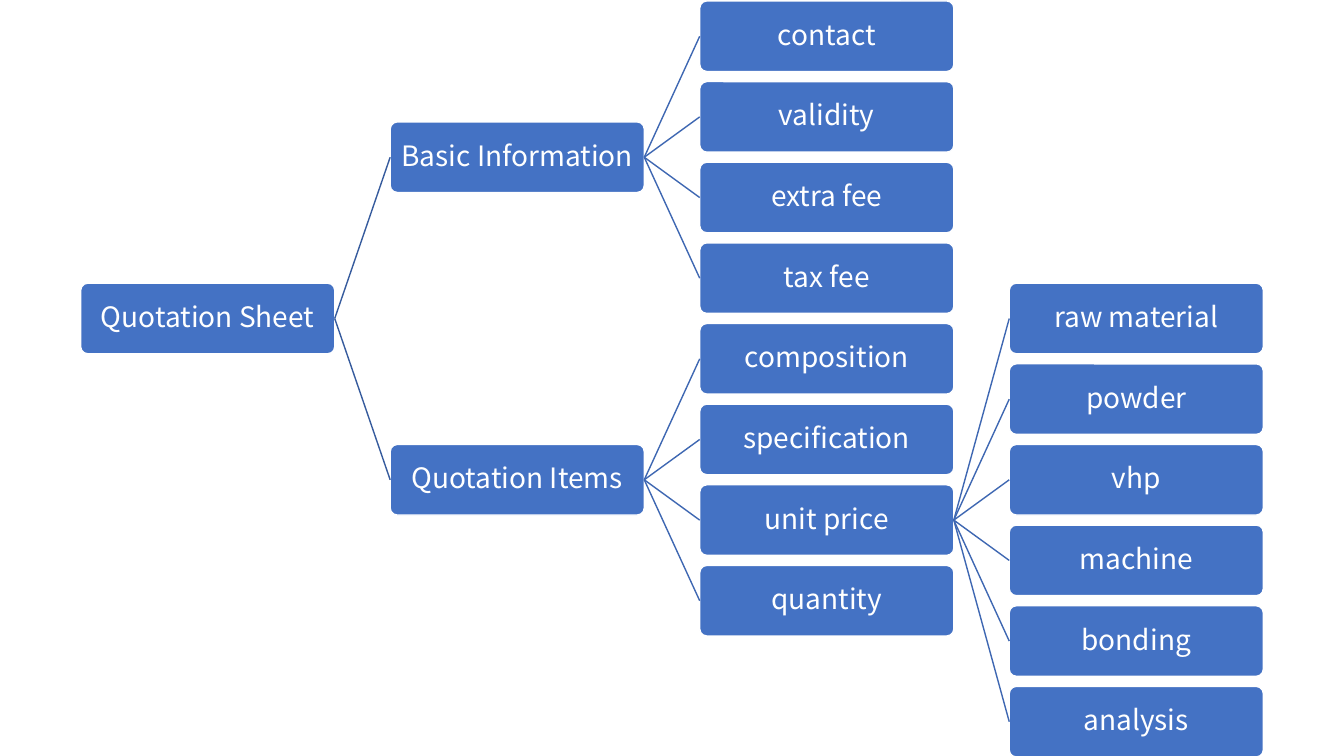
from lxml.etree import SubElement
from pptx import Presentation
from pptx.dml.color import RGBColor
from pptx.enum.shapes import MSO_CONNECTOR, MSO_SHAPE
from pptx.enum.text import MSO_ANCHOR, PP_ALIGN
from pptx.oxml.ns import qn
from pptx.util import Inches, Pt

TREE = ("Quotation Sheet", [
    ("Basic Information", [
        ("contact", []),
        ("validity", []),
        ("extra fee", []),
        ("tax fee", []),
    ]),
    ("Quotation Items", [
        ("composition", []),
        ("specification", []),
        ("unit price", [
            ("raw material", []),
            ("powder", []),
            ("vhp", []),
            ("machine", []),
            ("bonding", []),
            ("analysis", []),
        ]),
        ("quantity", []),
    ]),
])

FONT = "Noto Sans CJK SC"
BLUE, WHITE = "4472C4", "FFFFFF"
LINKS = ["365B9D", "3E67B2", "3E67B2"]
STEPS = [4, 1, 1]
ROOT_ROW = 3.5
LEFT, TOP = 0.8, 0.01
COL, ROW = 3.07, 0.8
WIDE, HIGH = 2.52, 0.7
INSET = 0.03


def paint(color, code):
    color.rgb = RGBColor.from_string(code)


def place(col, row):
    return LEFT + col * COL, TOP + row * ROW


def add_node(name, col, row):
    x, y = place(col, row)
    box = slide.shapes.add_shape(MSO_SHAPE.ROUNDED_RECTANGLE, Inches(x),
                                 Inches(y), Inches(WIDE), Inches(HIGH))
    box.adjustments[0] = 0.1
    box.shadow.inherit = False
    box.fill.solid()
    paint(box.fill.fore_color, BLUE)
    paint(box.line.color, WHITE)
    box.line.width = Pt(1)
    frame = box.text_frame
    frame.text = name
    frame.word_wrap = True
    frame.vertical_anchor = MSO_ANCHOR.MIDDLE
    frame.margin_left = frame.margin_right = Inches(INSET)
    frame.margin_top = frame.margin_bottom = Inches(INSET)
    para = frame.paragraphs[0]
    para.alignment = PP_ALIGN.CENTER
    para.line_spacing = 0.9
    font = para.runs[0].font
    font.name, font.size = FONT, Pt(20)
    paint(font.color, WHITE)
    return box


def add_link(start, end, code):
    link = slide.shapes.add_connector(MSO_CONNECTOR.STRAIGHT, 0, 0, 0, 0)
    link.begin_connect(start, 3)
    link.end_connect(end, 1)
    paint(link.line.color, code)
    link.line.width = Pt(1)
    SubElement(link._element.spPr, qn("a:effectLst"))


def grow(node, col, row):
    name, kids = node
    box = add_node(name, col, row)
    for i, kid in enumerate(kids):
        shift = (i - (len(kids) - 1) / 2) * STEPS[col]
        add_link(box, grow(kid, col + 1, row + shift), LINKS[col])
    return box


deck = Presentation()
deck.slide_width, deck.slide_height = Inches(13.33), Inches(7.5)
slide = deck.slides.add_slide(deck.slide_layouts[6])
grow(TREE, 0, ROOT_ROW)
deck.save("out.pptx")
